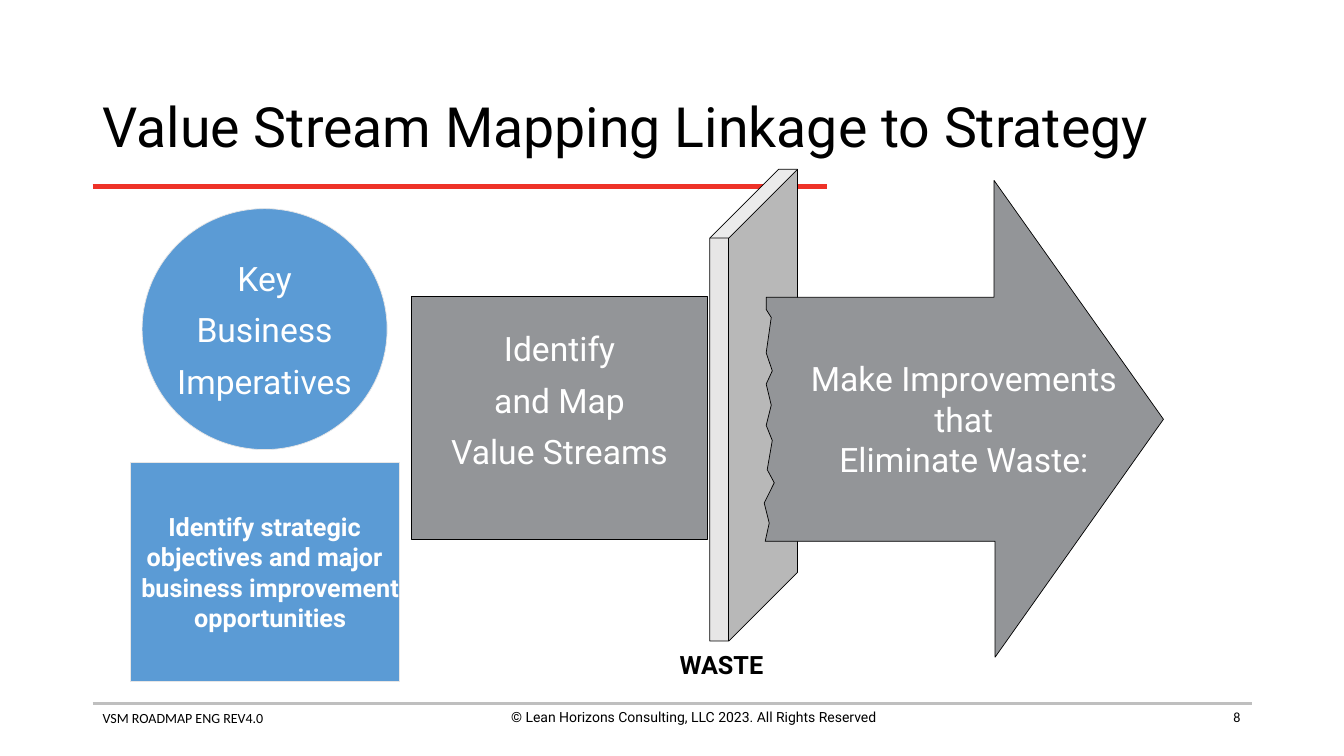
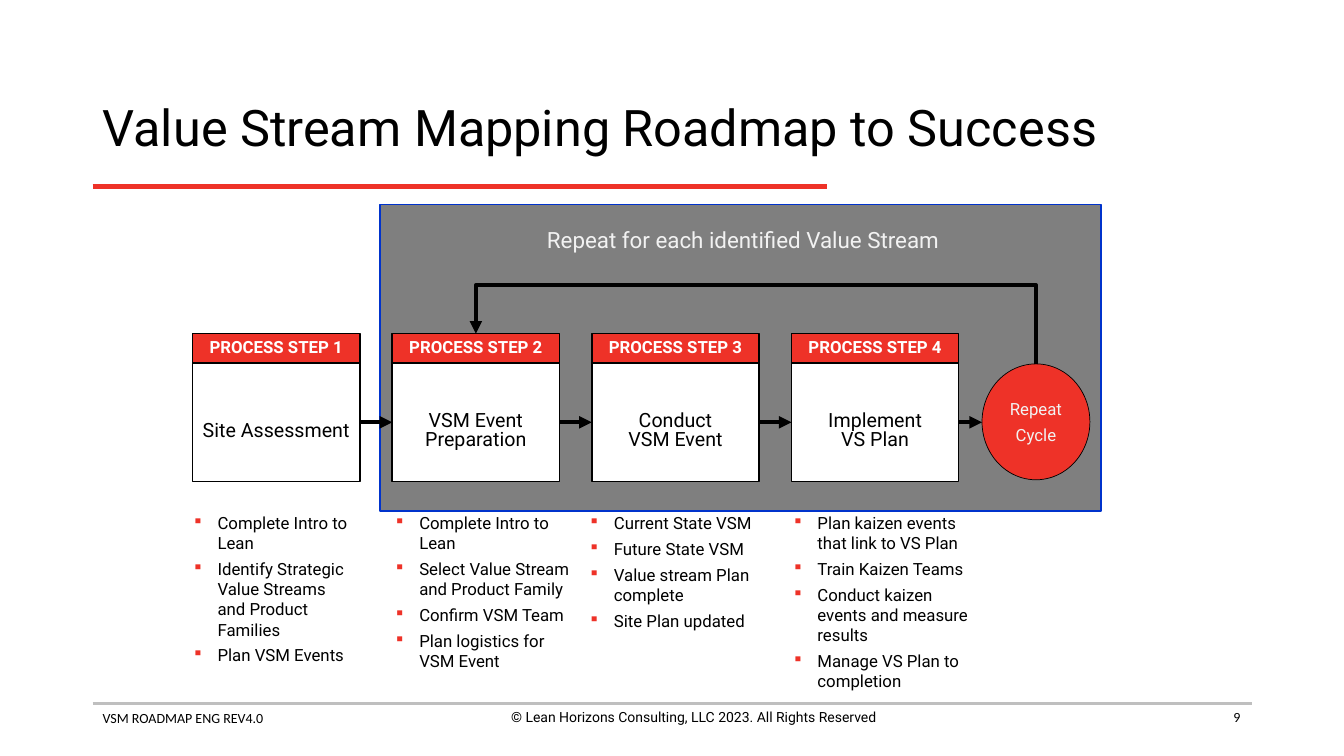
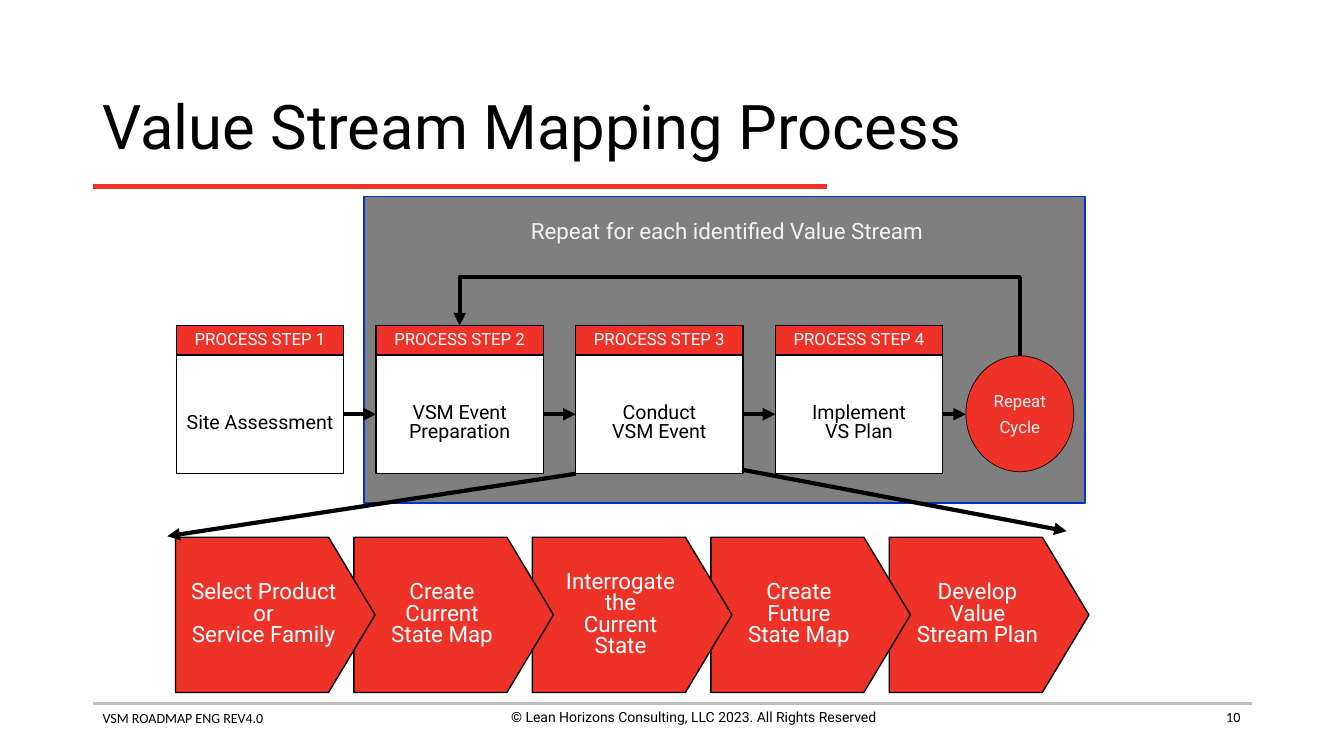
from dataclasses import dataclass
from typing import NamedTuple

from lxml.etree import SubElement
from pptx import Presentation
from pptx.dml.color import RGBColor
from pptx.enum.shapes import MSO_CONNECTOR, MSO_SHAPE
from pptx.enum.text import MSO_ANCHOR, PP_ALIGN
from pptx.oxml.ns import qn
from pptx.util import Inches, Pt


@dataclass(frozen=True)
class Theme:
    font: str = "Roboto"
    footer_font: str = "Calibri"
    black: str = "000000"
    white: str = "FFFFFF"
    red: str = "EE3228"
    blue: str = "5B9BD5"
    arrow_gray: str = "939598"
    panel_gray: str = "7F7F7F"
    panel_edge: str = "0033CC"
    pale_gray: str = "E7E6E6"
    rule_gray: str = "BFBFBF"
    soft_white: str = "F2F2F2"
    footer_size: float = 10
    small_size: float = 12
    step_size: float = 14
    medium_size: float = 16
    strong_size: float = 18
    large_size: float = 24


THEME = Theme()
TIGHT = (0.05, 0.05, 0.05, 0.05)
NORMAL = (0.1, 0.05, 0.1, 0.05)

PROCESS_STEPS = ("Site Assessment", "VSM Event\nPreparation",
                 "Conduct\nVSM Event", "Implement\nVS Plan")
STEP_TASKS = (
    (1.81, 1.83, ("Complete Intro to Lean",
                  "Identify Strategic Value Streams and Product Families",
                  "Plan VSM Events")),
    (3.81, 2.01, ("Complete Intro to Lean",
                  "Select Value Stream and Product Family",
                  "Confirm VSM Team",
                  "Plan logistics for VSM Event")),
    (5.74, 2.01, ("Current State VSM", "Future State VSM",
                  "Value stream Plan complete", "Site Plan updated")),
    (7.76, 2, ("Plan kaizen events that link to VS Plan",
               "Train Kaizen Teams",
               "Conduct kaizen events and measure results",
               "Manage VS Plan to completion")),
)
EVENT_PHASES = ("Select Product\nor\nService Family",
                "Create\nCurrent\nState Map",
                "Interrogate\nthe\nCurrent\nState",
                "Create\nFuture\nState Map",
                "Develop\nValue\nStream Plan")
TORN_ARROW = (
    (0.02, 1.16), (2.28, 1.16), (2.28, 0), (3.96, 2.37), (2.29, 4.73),
    (2.29, 3.58), (0.01, 3.58), (0.05, 3.4), (0, 3.2), (0.1, 3), (0.03, 2.87),
    (0.08, 2.58), (0.02, 2.43), (0.07, 2.23), (0.02, 2.02), (0.08, 1.89),
    (0.02, 1.71), (0.07, 1.36), (0.02, 1.28),
)


class Box(NamedTuple):
    left: float
    top: float
    width: float
    height: float

    def lengths(self):
        return [Inches(value) for value in self]

    def inner(self, left, top, width, height):
        """Return a box whose offsets count from this one's corner."""
        return Box(self.left + left, self.top + top, width, height)


def color(value):
    return RGBColor.from_string(value)


def paint(shape, fill, edge, edge_width):
    shape.shadow.inherit = False
    shape.fill.solid()
    shape.fill.fore_color.rgb = color(fill)
    shape.line.color.rgb = color(edge)
    shape.line.width = Pt(edge_width)
    return shape


def add_box(slide, kind, box, fill, edge=THEME.black, edge_width=0.5):
    return paint(slide.shapes.add_shape(kind, *box.lengths()), fill, edge, edge_width)


def add_bullet(paragraph):
    properties = paragraph._p.get_or_add_pPr()
    bullet_color = SubElement(properties, qn("a:buClr"))
    SubElement(bullet_color, qn("a:srgbClr")).set("val", THEME.red)
    SubElement(properties, qn("a:buSzPct")).set("val", "90000")
    SubElement(properties, qn("a:buChar")).set("char", "▪")


def write(shape, paragraphs, size, ink=THEME.black, bold=False, font=THEME.font,
          align=PP_ALIGN.CENTER, anchor=MSO_ANCHOR.MIDDLE, insets=NORMAL,
          wrap=False, spacing=None, gap=0, hanging=0, bullets=False):
    """Fill a shape with paragraphs; a newline within one is a line break."""
    frame = shape.text_frame
    frame.word_wrap = wrap
    frame.vertical_anchor = anchor
    (frame.margin_left, frame.margin_top,
     frame.margin_right, frame.margin_bottom) = map(Inches, insets)
    for index, text in enumerate(paragraphs):
        paragraph = frame.add_paragraph() if index else frame.paragraphs[0]
        paragraph.alignment = align
        if spacing:
            paragraph.line_spacing = spacing
        if index and gap:
            paragraph.space_before = Pt(gap)
        if hanging:
            properties = paragraph._p.get_or_add_pPr()
            properties.set("marL", str(Inches(hanging)))
            properties.set("indent", str(-Inches(hanging)))
        if bullets:
            add_bullet(paragraph)
        for line_index, line in enumerate(text.split("\n")):
            if line_index:
                paragraph.add_line_break()
            run = paragraph.add_run()
            run.text = line
            run.font.name = font
            run.font.size = Pt(size)
            run.font.bold = bold
            run.font.color.rgb = color(ink)


def add_label(slide, box, paragraphs, size, **style):
    write(slide.shapes.add_textbox(*box.lengths()), paragraphs, size, **style)


def add_line(slide, start, end, ink=THEME.black, width=3, arrow=False,
             kind=MSO_CONNECTOR.STRAIGHT):
    ends = [Inches(value) for value in (*start, *end)]
    line = slide.shapes.add_connector(kind, *ends)
    line.line.color.rgb = color(ink)
    line.line.width = Pt(width)
    if arrow:
        SubElement(line.line._get_or_add_ln(), qn("a:tailEnd")).set("type", "triangle")
    SubElement(line._element.spPr, qn("a:effectLst"))
    return line


def add_return_arrow(slide, start, end, rise):
    """Draw an elbow that climbs by rise from start, then drops onto end."""
    center_x, center_y = (start[0] + end[0]) / 2, (start[1] + end[1]) / 2
    half_drop, half_span = (start[1] - end[1]) / 2, (start[0] - end[0]) / 2
    elbow = add_line(slide, (center_x + half_drop, center_y - half_span),
                     (center_x - half_drop, center_y + half_span),
                     arrow=True, kind=MSO_CONNECTOR.ELBOW)
    properties = elbow._element.spPr
    properties.find(qn("a:xfrm")).set("rot", "5400000")
    geometry = properties.find(qn("a:prstGeom"))
    values = geometry.find(qn("a:avLst"))
    if values is None:
        values = SubElement(geometry, qn("a:avLst"))
    guide = SubElement(values, qn("a:gd"))
    guide.set("name", "adj1")
    guide.set("fmla", f"val {round(rise / (2 * half_drop) * 100000)}")


def add_page(presentation, title, title_size, number):
    """Add a slide with its title, rules and footer."""
    slide = presentation.slides.add_slide(presentation.slide_layouts[6])
    add_line(slide, (0.92, 6.98), (12.42, 6.98), THEME.rule_gray, 2)
    add_line(slide, (0.92, 1.85), (8.2, 1.85), THEME.red)
    add_label(slide, Box(0.92, 0.74, 11.5, 1.1), [title], title_size,
              align=PP_ALIGN.LEFT, wrap=True, spacing=0.9)
    footers = (
        (Box(0.92, 6.99, 4.56, 0.44), "VSM ROADMAP ENG REV4.0",
         THEME.footer_font, PP_ALIGN.LEFT),
        (Box(4.6, 6.98, 4.56, 0.44),
         "© Lean Horizons Consulting, LLC 2023. All Rights Reserved",
         THEME.font, PP_ALIGN.CENTER),
        (Box(9.4, 6.98, 3, 0.36), str(number), THEME.footer_font, PP_ALIGN.RIGHT),
    )
    for box, text, font, align in footers:
        add_label(slide, box, [text], THEME.footer_size, font=font, align=align,
                  anchor=MSO_ANCHOR.TOP, wrap=True)
    return slide


def add_imperatives(slide, area):
    objectives = add_box(slide, MSO_SHAPE.RECTANGLE, area.inner(0, 2.52, 2.67, 2.17),
                         THEME.blue, THEME.pale_gray)
    write(objectives, ["Identify strategic",
                       "objectives and major\nbusiness improvement\nopportunities"],
          THEME.strong_size, THEME.white, bold=True, insets=TIGHT, hanging=0.11)
    circle = add_box(slide, MSO_SHAPE.OVAL, area.inner(0.12, 0, 2.43, 2.39),
                     THEME.blue, THEME.pale_gray)
    write(circle, ["Key", "Business", "Imperatives"], THEME.large_size,
          THEME.white, insets=TIGHT, gap=8)


def add_waste_barrier(slide, area):
    """Draw the arrow that breaks through the wall of waste."""
    shaft = add_box(slide, MSO_SHAPE.RECTANGLE, area.inner(0, 1.26, 2.94, 2.41),
                    THEME.arrow_gray)
    write(shaft, ["Identify", "and Map", "Value Streams"], THEME.large_size,
          THEME.white, insets=(0.05, 0.05, 0.05, 0.41), gap=8)
    add_label(slide, area.inner(2.46, 4.75, 1.23, 0.32), ["WASTE"],
              THEME.strong_size, bold=True, insets=TIGHT, wrap=True)
    wall = add_box(slide, MSO_SHAPE.CUBE, area.inner(2.96, 0, 0.87, 4.68),
                   THEME.pale_gray)
    wall.adjustments[0] = 0.784
    corner = area.inner(3.5, 0.11, 3.97, 4.73)
    points = [(Inches(corner.left + x), Inches(corner.top + y)) for x, y in TORN_ARROW]
    builder = slide.shapes.build_freeform(*points[0])
    builder.add_line_segments(points[1:], close=True)
    head = paint(builder.convert_to_shape(), THEME.arrow_gray, THEME.black, 0.5)
    write(head, ["Make Improvements\nthat\nEliminate Waste:"], THEME.large_size,
          THEME.white, insets=TIGHT, wrap=True)


def add_process_step(slide, box, number, text, bold):
    """Draw one step and return its body."""
    header_height = 0.29
    body = add_box(slide, MSO_SHAPE.RECTANGLE,
                   box.inner(0, header_height, box.width, box.height - header_height),
                   THEME.white, edge_width=1)
    write(body, [text], THEME.step_size, insets=(0.1, 0.23, 0.1, 0.05), spacing=0.8)
    header = add_box(slide, MSO_SHAPE.RECTANGLE,
                     box.inner(0, 0, box.width, header_height), THEME.red, edge_width=1)
    write(header, [f"PROCESS STEP {number}"], THEME.small_size, THEME.white,
          bold=bold, spacing=0.8)
    return body


def add_process_flow(slide, area, bold_headers):
    pitch, step_width, header_top, arrow_top = 1.98, 1.66, 1.28, 2.16
    panel = area.inner(1.86, 0, 7.15, 3.04)
    add_box(slide, MSO_SHAPE.RECTANGLE, panel, THEME.panel_gray, THEME.panel_edge, 1)
    add_label(slide, panel.inner(1.52, 0.16, 4.16, 0.37),
              ["Repeat for each identified Value Stream"], THEME.medium_size,
              ink=THEME.soft_white, anchor=MSO_ANCHOR.TOP)
    circle = area.inner(7.83, 1.58, 1.07, 1.15)
    repeat = add_box(slide, MSO_SHAPE.OVAL, circle, THEME.red)
    write(repeat, ["Repeat", "Cycle"], THEME.small_size, THEME.soft_white,
          insets=TIGHT, gap=4)

    boxes = [area.inner(index * pitch, header_top, step_width, 1.47)
             for index in range(len(PROCESS_STEPS))]
    bodies = [add_process_step(slide, box, number, text, bold_headers)
              for number, (box, text) in enumerate(zip(boxes, PROCESS_STEPS), 1)]
    arrow_y = area.top + arrow_top
    for index, (box, body) in enumerate(zip(boxes, bodies)):
        last = index == len(boxes) - 1
        target = circle if last else boxes[index + 1]
        arrow = add_line(slide, (box.left + box.width, arrow_y),
                         (target.left, arrow_y), arrow=True)
        arrow.begin_connect(body, 3)
        if not last:
            arrow.end_connect(bodies[index + 1], 1)
    add_return_arrow(slide, (circle.left + circle.width / 2, circle.top),
                     (boxes[1].left + step_width / 2, boxes[1].top), 0.78)


def add_step_tasks(slide, top):
    for left, width, tasks in STEP_TASKS:
        add_label(slide, Box(left, top, width, 1.33), tasks, THEME.small_size,
                  align=PP_ALIGN.LEFT, anchor=MSO_ANCHOR.TOP, wrap=True,
                  gap=4, hanging=0.25, bullets=True)


def add_event_phases(slide, area):
    """Draw overlapping phases, each one above the next."""
    pitch = 1.77
    for index, text in reversed(list(enumerate(EVENT_PHASES))):
        phase = add_box(slide, MSO_SHAPE.PENTAGON,
                        area.inner(index * pitch, 0, 1.98, area.height),
                        THEME.red, edge_width=1)
        phase.adjustments[0] = 0.3
        write(phase, [text], THEME.medium_size, THEME.white, spacing=0.8)
    for start, end in (((3.97, -0.63), (-0.08, -0.01)), ((5.62, -0.67), (8.84, -0.06))):
        add_line(slide, (area.left + start[0], area.top + start[1]),
                 (area.left + end[0], area.top + end[1]), arrow=True)


def main():
    presentation = Presentation()
    presentation.slide_width = Inches(13.33)
    presentation.slide_height = Inches(7.5)

    strategy = add_page(presentation, "Value Stream Mapping Linkage to Strategy", 39.6, 8)
    add_imperatives(strategy, Box(1.29, 2.07, 2.67, 4.69))
    add_waste_barrier(strategy, Box(4.08, 1.68, 7.47, 5.07))

    roadmap = add_page(presentation, "Value Stream Mapping Roadmap to Success", 36, 9)
    add_process_flow(roadmap, Box(1.91, 2.03, 9.01, 3.04), bold_headers=True)
    add_step_tasks(roadmap, 5.04)

    process = add_page(presentation, "Value Stream Mapping Process", 44, 10)
    add_process_flow(process, Box(1.75, 1.95, 9.01, 3.04), bold_headers=False)
    add_event_phases(process, Box(1.74, 5.33, 9.06, 1.54))

    presentation.save("out.pptx")


if __name__ == "__main__":
    main()
